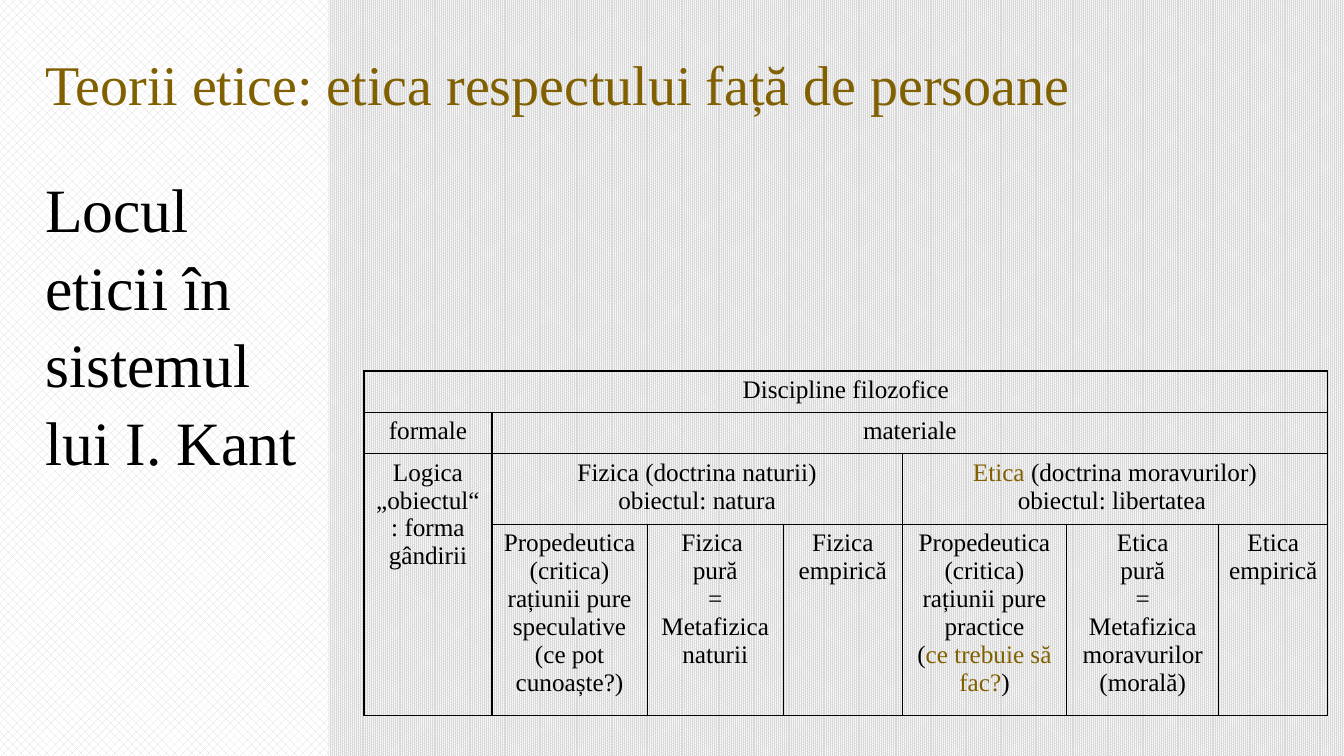
from lxml import etree
from pptx import Presentation
from pptx.dml.color import RGBColor
from pptx.enum.dml import MSO_PATTERN
from pptx.enum.shapes import MSO_SHAPE
from pptx.enum.text import MSO_ANCHOR, PP_ALIGN
from pptx.oxml import parse_xml
from pptx.oxml.ns import nsdecls
from pptx.util import Inches, Pt

RECTANGLE = MSO_SHAPE.RECTANGLE
LEFT, CENTER = PP_ALIGN.LEFT, PP_ALIGN.CENTER
TOP = MSO_ANCHOR.TOP
PANEL_PATTERN = MSO_PATTERN.from_xml("pct40")
PAGE_PATTERN = MSO_PATTERN.from_xml("pct90")

# Content: asterisks enclose accented words
FONT = "Times New Roman"
BLACK, OCHRE, GREY, WHITE = "000000", "806000", "D9D9D9", "FFFFFF"
TITLE = "Teorii etice: etica respectului față de persoane"
TOPIC = "Locul eticii în sistemul lui I. Kant"
COLUMN_WIDTHS = [1.27, 1.54, 1.35, 1.18, 1.63, 1.51, 1.08]
ROW_HEIGHTS = [0.41, 0.41, 0.7, 1.9]
# (row, column, rows spanned, columns spanned, paragraphs)
DISCIPLINES = [
    (0, 0, 1, 7, ["Discipline filozofice"]),
    (1, 0, 1, 1, ["formale"]),
    (1, 1, 1, 6, ["materiale"]),
    (2, 0, 2, 1, ["Logica", "„obiectul“: forma gândirii"]),
    (2, 1, 1, 3, ["Fizica (doctrina naturii)", "obiectul: natura"]),
    (2, 4, 1, 3, ["*Etica *(doctrina moravurilor)", "obiectul: libertatea "]),
    (3, 1, 1, 1, ["Propedeutica (critica) rațiunii pure speculative",
                  "(ce pot cunoaște?)"]),
    (3, 2, 1, 1, ["Fizica ", "pură", "=", "Metafizica naturii"]),
    (3, 3, 1, 1, ["Fizica empirică"]),
    (3, 4, 1, 1, ["Propedeutica (critica) rațiunii pure practice",
                  "(*ce trebuie să fac?*)"]),
    (3, 5, 1, 1, ["Etica", "pură", "=", "Metafizica moravurilor (morală)"]),
    (3, 6, 1, 1, ["Etica empirică"]),
]


def rgb(value):
    return RGBColor.from_string(value)


def write(frame, paragraphs, size=18, color=BLACK, align=LEFT, spacing=None):
    frame.word_wrap = True
    for index, line in enumerate(paragraphs):
        paragraph = frame.paragraphs[0] if index == 0 else frame.add_paragraph()
        paragraph.alignment = align
        if spacing:
            paragraph.line_spacing = spacing
        for part, words in enumerate(line.split("*")):
            if words:
                run = paragraph.add_run()
                run.text = words
                run.font.name = FONT
                run.font.size = Pt(size)
                run.font.color.rgb = rgb(OCHRE if part % 2 else color)


def set_pattern(fill, pattern):
    fill.patterned()
    fill.pattern = pattern
    fill.fore_color.rgb = rgb(GREY)
    fill.back_color.rgb = rgb(WHITE)


def add_borders(cell):
    properties = cell._tc.get_or_add_tcPr()
    for side in ("lnL", "lnR", "lnT", "lnB"):
        border = parse_xml(f'<a:{side} {nsdecls("a")} w="{Pt(1)}"/>')
        solid = etree.SubElement(border, border.tag.replace(side, "solidFill"))
        etree.SubElement(solid, border.tag.replace(side, "srgbClr"), val=BLACK)
        properties.append(border)


prs = Presentation()
prs.slide_width, prs.slide_height = Inches(13.33), Inches(7.5)
slide = prs.slides.add_slide(prs.slide_layouts[5])
set_pattern(slide.background.fill, PAGE_PATTERN)

# Side panel, behind the title
panel = slide.shapes.add_shape(
    RECTANGLE, Inches(0), Inches(-0.02), Inches(3.26), Inches(7.52))
panel.shadow.inherit = False
panel.line.fill.background()
set_pattern(panel.fill, PANEL_PATTERN)

# Title and topic
title = slide.shapes.title
title.left, title.top = Inches(0.35), Inches(0.41)
title.width, title.height = Inches(10.77), Inches(0.77)
title.text_frame.vertical_anchor = TOP
write(title.text_frame, [TITLE], size=40, color=OCHRE, spacing=1.05)
title.element.addprevious(panel.element)

topic = slide.shapes.add_textbox(
    Inches(0.35), Inches(1.61), Inches(2.91), Inches(2.32))
write(topic.text_frame, [TOPIC], size=44, spacing=1.05)

# Table of disciplines
disciplines = slide.shapes.add_table(
    len(ROW_HEIGHTS), len(COLUMN_WIDTHS), Inches(3.61), Inches(3.68),
    Inches(sum(COLUMN_WIDTHS)), Inches(sum(ROW_HEIGHTS))).table
disciplines.first_row = disciplines.horz_banding = False
for column, width in zip(disciplines.columns, COLUMN_WIDTHS):
    column.width = Inches(width)
for row, height in zip(disciplines.rows, ROW_HEIGHTS):
    row.height = Inches(height)
for cell in disciplines.iter_cells():
    add_borders(cell)
    cell.fill.background()
for row, column, row_span, column_span, paragraphs in DISCIPLINES:
    cell = disciplines.cell(row, column)
    if row_span * column_span > 1:
        cell.merge(disciplines.cell(row + row_span - 1, column + column_span - 1))
    write(cell.text_frame, paragraphs, align=CENTER)

prs.save("out.pptx")
